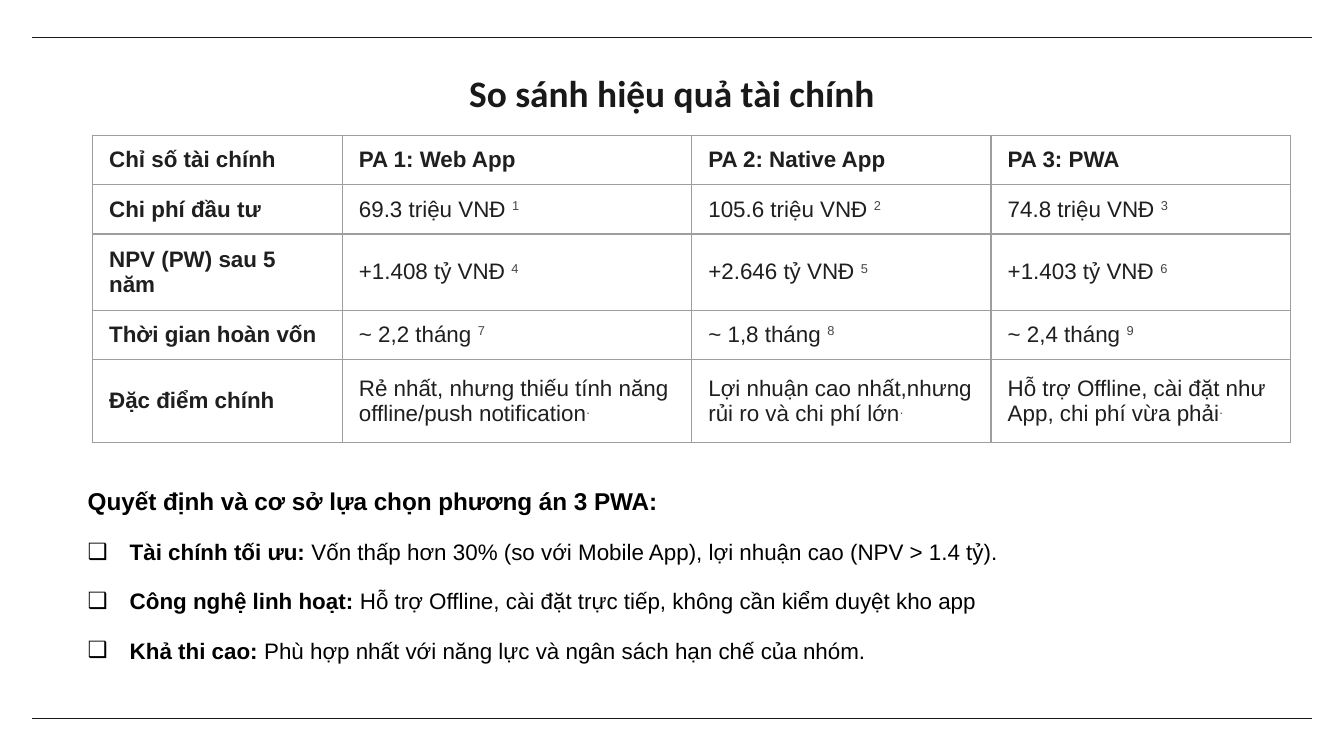
from lxml import etree
from pptx import Presentation
from pptx.dml.color import RGBColor
from pptx.enum.shapes import MSO_CONNECTOR
from pptx.enum.text import MSO_ANCHOR, MSO_AUTO_SIZE, PP_ALIGN
from pptx.oxml.ns import qn
from pptx.util import Pt

STRAIGHT = MSO_CONNECTOR.STRAIGHT
TOP, MIDDLE = MSO_ANCHOR.TOP, MSO_ANCHOR.MIDDLE
CENTER, LEFT = PP_ALIGN.CENTER, PP_ALIGN.LEFT
NO_FIT, GROW = MSO_AUTO_SIZE.NONE, MSO_AUTO_SIZE.SHAPE_TO_FIT_TEXT

TITLE = "So sánh hiệu quả tài chính"
HEADER = ["Chỉ số tài chính", "PA 1: Web App", "PA 2: Native App", "PA 3: PWA"]
ROWS = [
    ("Chi phí đầu tư", [("69.3 triệu VNĐ ", "1"), ("105.6 triệu VNĐ ", "2"),
                        ("74.8 triệu VNĐ ", "3")]),
    ("NPV (PW) sau 5 năm", [("+1.408 tỷ VNĐ ", "4"), ("+2.646 tỷ VNĐ ", "5"),
                            ("+1.403 tỷ VNĐ ", "6")]),
    ("Thời gian hoàn vốn", [("~ 2,2 tháng ", "7"), ("~ 1,8 tháng ", "8"),
                            ("~ 2,4 tháng ", "9")]),
    ("Đặc điểm chính", [("Rẻ nhất, nhưng thiếu tính năng offline/push notification", "."),
                        ("Lợi nhuận cao nhất,nhưng rủi ro và chi phí lớn", "."),
                        ("Hỗ trợ Offline, cài đặt như App, chi phí vừa phải", ".")]),
]
DECISION = "Quyết định và cơ sở lựa chọn phương án 3 PWA:"
REASONS = [
    ("Tài chính tối ưu: ", "Vốn thấp hơn 30% (so với Mobile App), lợi nhuận cao (NPV > 1.4 tỷ)."),
    ("Công nghệ linh hoạt: ", "Hỗ trợ Offline, cài đặt trực tiếp, không cần kiểm duyệt kho app"),
    ("Khả thi cao: ", "Phù hợp nhất với năng lực và ngân sách hạn chế của nhóm."),
]

THEME = {
    "title_font": "Calibri", "font": "Arial",
    "ink": "191919", "cell": "1F1F1F", "note": "444746", "border": "9E9E9E", "body": "000000",
    "title_size": 20, "heading_size": 13, "size": 12, "line": 0.75,
}
WIDTH, HEIGHT = 720, 405
RULE_MARGIN, RULE_TOPS = 17.28, (20, 385)
TABLE_LEFT, TABLE_TOP = 49.5, 72.6
COL_WIDTHS = [133.8, 187.2, 160.4, 160.4]
ROW_HEIGHTS = [25.4, 25.4, 25.4, 25.4, 44.6]
INDENT = 22.5


def place(s, left, top, width, height):
    s.left, s.top, s.width, s.height = Pt(left), Pt(top), Pt(width), Pt(height)


def add_run(p, text, color, bold=False, size=THEME["size"], font=THEME["font"]):
    r = p.add_run()
    r.text = text
    r.font.name, r.font.size, r.font.bold = font, Pt(size), bold
    r.font.color.rgb = RGBColor.from_string(color)
    return r


def add_rule(slide, top):
    s = slide.shapes.add_connector(STRAIGHT, Pt(RULE_MARGIN), Pt(top),
                                   Pt(WIDTH - RULE_MARGIN), Pt(top))
    s.line.color.rgb = RGBColor.from_string(THEME["ink"])
    s.line.width = Pt(THEME["line"])
    etree.SubElement(s._element.spPr, qn("a:effectLst"))


def format_cell(cell):
    cell.vertical_anchor = MIDDLE
    cell.margin_left = cell.margin_right = Pt(9)
    cell.margin_top = cell.margin_bottom = Pt(6)
    cell.fill.background()
    tcPr = cell._tc.get_or_add_tcPr()
    for i, side in enumerate(("lnL", "lnR", "lnT", "lnB")):
        ln = etree.Element(qn("a:" + side), w=str(Pt(THEME["line"])))
        fill = etree.SubElement(ln, qn("a:solidFill"))
        etree.SubElement(fill, qn("a:srgbClr"), val=THEME["border"])
        tcPr.insert(i, ln)


def add_comparison(slide):
    table = slide.shapes.add_table(len(ROW_HEIGHTS), len(COL_WIDTHS), Pt(TABLE_LEFT),
                                   Pt(TABLE_TOP), Pt(sum(COL_WIDTHS)),
                                   Pt(sum(ROW_HEIGHTS))).table
    table.first_row = table.horz_banding = False
    for column, width in zip(table.columns, COL_WIDTHS):
        column.width = Pt(width)
    for row, height in zip(table.rows, ROW_HEIGHTS):
        row.height = Pt(height)
    for cell in table.iter_cells():
        format_cell(cell)
    for j, text in enumerate(HEADER):
        add_run(table.cell(0, j).text_frame.paragraphs[0], text, THEME["cell"], True)
    for i, (label, values) in enumerate(ROWS, 1):
        add_run(table.cell(i, 0).text_frame.paragraphs[0], label, THEME["cell"], True)
        for j, (value, note) in enumerate(values, 1):
            p = table.cell(i, j).text_frame.paragraphs[0]
            add_run(p, value, THEME["cell"])
            r = add_run(p, note, THEME["note"])
            r._r.get_or_add_rPr().set("baseline", "30000")


def set_bullet(p, char=None):
    pPr = p._p.get_or_add_pPr()
    indent = Pt(INDENT) if char else 0
    pPr.set("marL", str(indent))
    pPr.set("indent", str(-indent))
    if char:
        color = etree.SubElement(pPr, qn("a:buClr"))
        etree.SubElement(color, qn("a:srgbClr"), val=THEME["body"])
        etree.SubElement(pPr, qn("a:buFont"), typeface=THEME["font"])
        etree.SubElement(pPr, qn("a:buChar"), char=char)
    else:
        etree.SubElement(pPr, qn("a:buNone"))


def fill_title(s):
    place(s, 226, 30.2, 268, 29.5)
    tf = s.text_frame
    tf.auto_size, tf.vertical_anchor, tf.word_wrap = NO_FIT, TOP, True
    tf.margin_left = tf.margin_right = tf.margin_top = tf.margin_bottom = Pt(7.2)
    p = tf.paragraphs[0]
    p.alignment = CENTER
    add_run(p, TITLE, THEME["ink"], True, THEME["title_size"], THEME["title_font"])


def fill_reasons(s):
    place(s, 39.8, 257, 507.6, 103)
    tf = s.text_frame
    tf.auto_size, tf.vertical_anchor, tf.word_wrap = GROW, TOP, False
    p = tf.paragraphs[0]
    set_bullet(p)
    add_run(p, DECISION, THEME["body"], True, THEME["heading_size"])
    for label, text in REASONS:
        p = tf.add_paragraph()
        set_bullet(p, "❑")
        add_run(p, label, THEME["body"], True)
        add_run(p, text, THEME["body"])
    for i, p in enumerate(tf.paragraphs):
        p.alignment = LEFT
        p.space_before, p.space_after = Pt(6 if i else 0), Pt(6)


def main():
    prs = Presentation()
    prs.slide_width, prs.slide_height = Pt(WIDTH), Pt(HEIGHT)
    slide = prs.slides.add_slide(prs.slide_layouts[1])
    for top in RULE_TOPS:
        add_rule(slide, top)
    add_comparison(slide)
    fill_title(slide.shapes.title)
    fill_reasons(slide.placeholders[1])
    prs.save("out.pptx")


if __name__ == "__main__":
    main()
